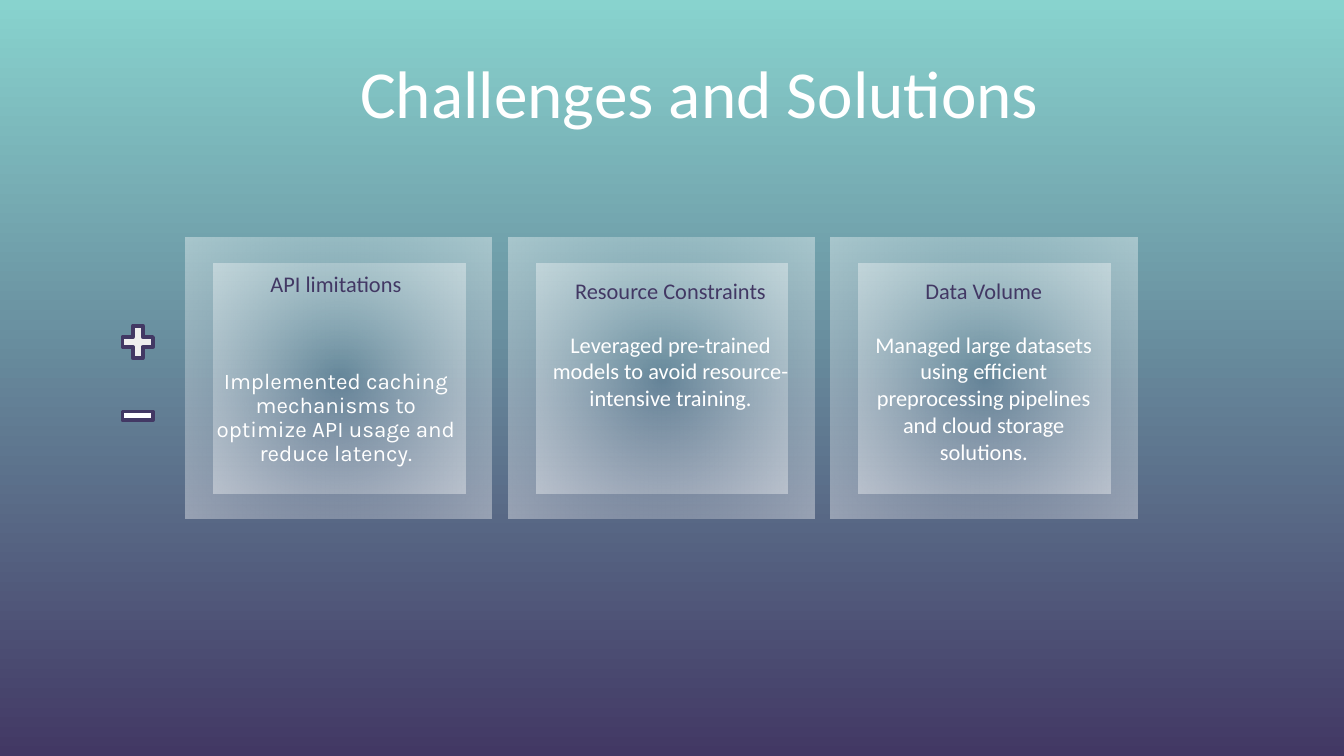
from lxml.etree import SubElement
from pptx import Presentation
from pptx.dml.color import RGBColor
from pptx.enum.shapes import MSO_SHAPE
from pptx.enum.text import MSO_ANCHOR, PP_ALIGN
from pptx.oxml.ns import qn
from pptx.util import Inches, Pt

TEAL = RGBColor(0x88, 0xD3, 0xCE)
PURPLE = RGBColor(0x42, 0x38, 0x64)
WHITE = RGBColor(0xFF, 0xFF, 0xFF)
LIGHT_GRAY = RGBColor(0xEE, 0xEE, 0xEE)

CARD_LEFT, CARD_TOP, CARD_STEP = 1.38, 1.77, 2.4

# heading, solution, text box (left, top, width, height),
# solution font, line spacing, gap before the solution
CARDS = [
    ("API limitations",
     "Implemented caching mechanisms to optimize API usage and reduce latency.",
     (1.5, 1.98, 2, 1.6), "Karla", 0.9, 39),
    ("Resource Constraints",
     "Leveraged pre-trained models to avoid resource-intensive training.",
     (3.99, 2.01, 2, 1.35), "Calibri", 1, 14.5),
    ("Data Volume",
     "Managed large datasets using efficient preprocessing pipelines "
     "and cloud storage solutions.",
     (6.36, 2.01, 1.92, 1.51), "Calibri", 1, 14.5),
]


def paint_background(page):
    fill = page.background.fill
    fill.gradient()
    fill.gradient_angle = 270
    for stop, color in zip(fill.gradient_stops, (TEAL, PURPLE)):
        stop.color.rgb = color


def add_span(para, text, font, size, color):
    span = para.add_run()
    span.text = text
    span.font.name = font
    span.font.size = Pt(size)
    span.font.color.rgb = color


def add_title(page, text):
    title = page.shapes.title
    title.left, title.top = Inches(2.58), Inches(0.33)
    title.width, title.height = Inches(5.35), Inches(0.71)
    frame = title.text_frame
    frame.vertical_anchor = MSO_ANCHOR.TOP
    para = frame.paragraphs[0]
    para.alignment = PP_ALIGN.LEFT
    add_span(para, text, "Calibri", 36, WHITE)


def add_glow_panel(page, left, top, width, height):
    """White rectangle that fades to clear at its centre."""
    panel = page.shapes.add_shape(MSO_SHAPE.RECTANGLE, Inches(left),
                                  Inches(top), Inches(width), Inches(height))
    panel.shadow.inherit = False
    panel.line.fill.background()
    panel.fill.gradient()
    for stop in panel.fill.gradient_stops:
        stop.color.rgb = WHITE

    # Opacity of the stops and a circular path instead of a linear one
    gradient = panel._element.spPr.find(qn("a:gradFill"))
    for color, opacity in zip(gradient.iter(qn("a:srgbClr")), (0, 39)):
        SubElement(color, qn("a:alpha"), val=str(opacity * 1000))
    gradient.remove(gradient.find(qn("a:lin")))
    circle = SubElement(gradient, qn("a:path"), path="circle")
    SubElement(circle, qn("a:fillToRect"),
               {side: "50000" for side in "ltrb"})


def add_card_text(page, heading, solution, place, font, spacing, gap):
    box = page.shapes.add_textbox(*(Inches(value) for value in place))
    frame = box.text_frame
    frame.word_wrap = True
    head, body = frame.paragraphs[0], frame.add_paragraph()
    for para in (head, body):
        para.alignment = PP_ALIGN.CENTER
        para.line_spacing = spacing
    body.space_before = Pt(gap)
    add_span(head, heading, "Calibri", 12, PURPLE)
    add_span(body, solution, font, 12, WHITE)


def add_sign(page, kind, top, height, color):
    sign = page.shapes.add_shape(kind, Inches(0.87), Inches(top),
                                 Inches(0.31), Inches(height))
    sign.shadow.inherit = False
    sign.fill.solid()
    sign.fill.fore_color.rgb = color
    sign.line.color.rgb = PURPLE
    sign.line.width = Pt(2)


def main():
    # Widescreen page, 16 to 9
    deck = Presentation()
    deck.slide_width = Inches(10)
    deck.slide_height = Inches(10 * 9 / 16)
    page = deck.slides.add_slide(deck.slide_layouts.get_by_name("Title Only"))
    paint_background(page)
    add_title(page, "Challenges and Solutions")

    # Cards: an outer and an inner panel with text on top
    for index, card in enumerate(CARDS):
        left = CARD_LEFT + index * CARD_STEP
        add_glow_panel(page, left, CARD_TOP, 2.28, 2.09)
        add_glow_panel(page, left + 0.21, CARD_TOP + 0.19, 1.87, 1.71)
        add_card_text(page, *card)

    # Plus and minus signs beside the cards
    add_sign(page, MSO_SHAPE.MATH_PLUS, 2.38, 0.33, LIGHT_GRAY)
    add_sign(page, MSO_SHAPE.MATH_MINUS, 2.96, 0.27, WHITE)
    deck.save("out.pptx")


if __name__ == "__main__":
    main()
